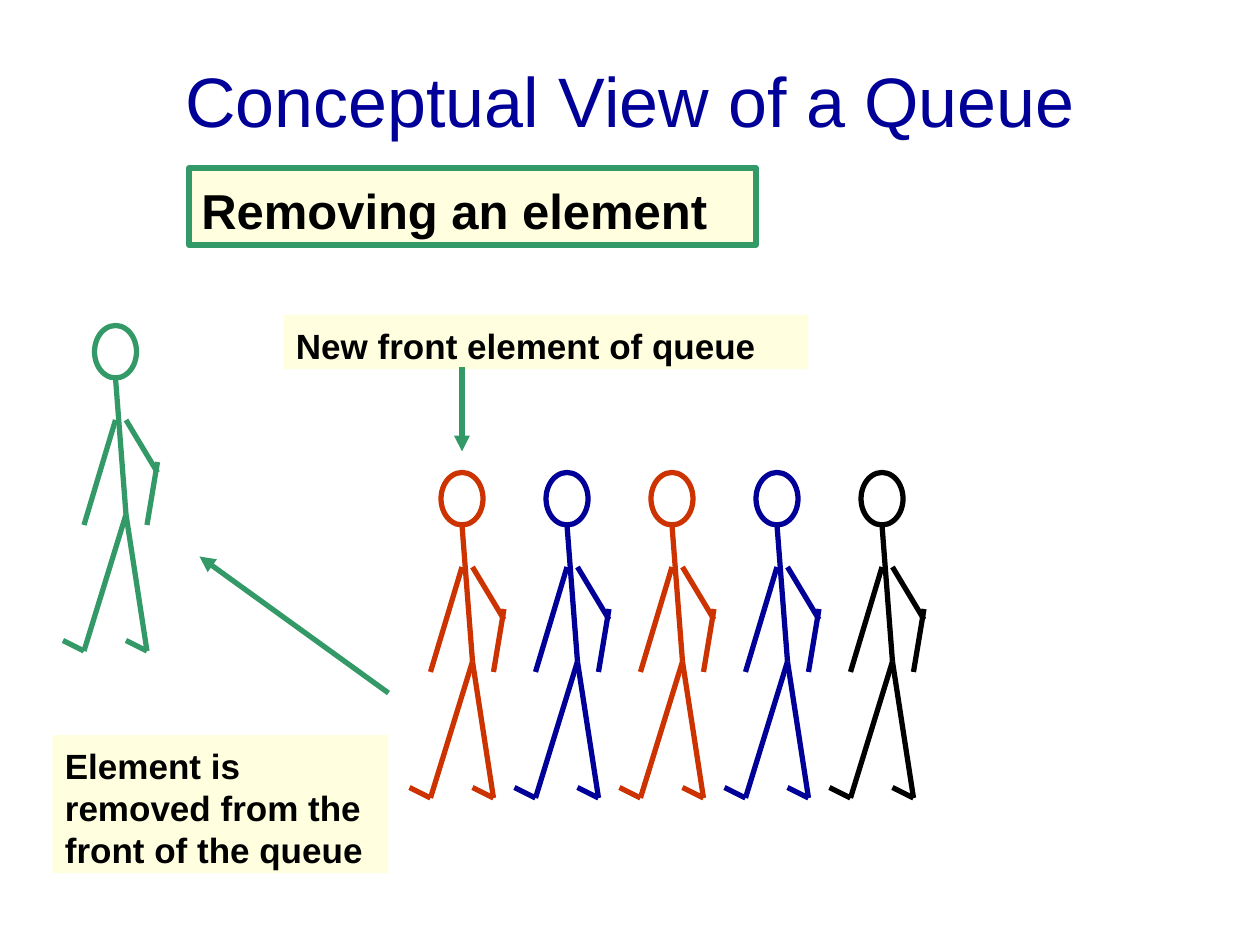
from pptx import Presentation
from pptx.dml.color import RGBColor
from pptx.enum.shapes import MSO_CONNECTOR as CONNECTOR, MSO_SHAPE as SHAPE
from pptx.enum.text import MSO_ANCHOR as ANCHOR, PP_ALIGN as ALIGN
from pptx.oxml.ns import qn
from pptx.util import Pt
from lxml.etree import SubElement

GREEN, RED, BLUE, BLACK, CREAM = "339966", "CC3300", "000099", "000000", "FFFFDF"
color = RGBColor.from_string

presentation = Presentation()
presentation.slide_width, presentation.slide_height = Pt(720), Pt(540)
slide = presentation.slides.add_slide(presentation.slide_layouts[6])
shapes = slide.shapes


def add_line(start, end, line_color, arrow=False):
    connector = shapes.add_connector(CONNECTOR.STRAIGHT, *map(Pt, start + end))
    connector.line.color.rgb = color(line_color)
    connector.line.width = Pt(3)
    properties = connector._element.spPr
    if arrow:
        SubElement(properties.find(qn("a:ln")), qn("a:tailEnd"), type="triangle")
    SubElement(properties, qn("a:effectLst"))


def add_text(shape, text, size, text_color, bold, top_margin, anchor, align):
    frame = shape.text_frame
    frame.word_wrap = True
    frame.vertical_anchor = anchor
    frame.margin_top = Pt(top_margin)
    frame.text = text
    paragraph = frame.paragraphs[0]
    paragraph.alignment = align
    font = paragraph.runs[0].font
    font.name, font.size, font.bold = "Arial", Pt(size), bold
    font.color.rgb = color(text_color)


title = shapes.add_textbox(Pt(54), Pt(12), Pt(612), Pt(90))
add_text(title, "Conceptual View of a Queue", 40, BLUE, False, 3.6, ANCHOR.MIDDLE, ALIGN.CENTER)

limbs = [
    ((12, 30), (18, 108)),
    ((18, 108), (-6, 186)),
    ((18, 108), (30, 186)),
    ((-6, 186), (-18, 180)),
    ((30, 186), (18, 180)),
    ((12, 54), (-6, 114)),
    ((18, 54), (36, 84)),
    ((36, 78), (30, 114)),
]
queue_colors = [RED, BLUE, RED, BLUE, BLACK]
people = [(252 + 60 * place, 270, person_color) for place, person_color in enumerate(queue_colors)]
people.append((54, 186, GREEN))

for left, top, person_color in people:
    head = shapes.add_shape(SHAPE.OVAL, Pt(left), Pt(top), Pt(24), Pt(30))
    head.shadow.inherit = False
    head.fill.background()
    head.line.color.rgb = color(person_color)
    head.line.width = Pt(3)
    for (x1, y1), (x2, y2) in limbs:
        add_line((left + x1, top + y1), (left + x2, top + y2), person_color)

labels = [
    ("Removing an element", 108, 96, 324, 44, 28, 7.4, True),
    ("New front element of queue", 162, 180, 300, 31, 20, 5.3, False),
    ("Element is removed from the front of the queue", 30, 420, 192, 79, 20, 5.3, False),
]
for text, left, top, width, height, size, top_margin, outlined in labels:
    label = shapes.add_shape(SHAPE.RECTANGLE, Pt(left), Pt(top), Pt(width), Pt(height))
    label.shadow.inherit = False
    label.fill.solid()
    label.fill.fore_color.rgb = color(CREAM)
    if outlined:
        label.line.color.rgb = color(GREEN)
        label.line.width = Pt(3)
    else:
        label.line.fill.background()
    add_text(label, text, size, BLACK, True, top_margin, ANCHOR.TOP, ALIGN.LEFT)

add_line((222, 396), (114, 318), GREEN, arrow=True)
add_line((264, 210), (264, 258), GREEN, arrow=True)

presentation.save("out.pptx")
